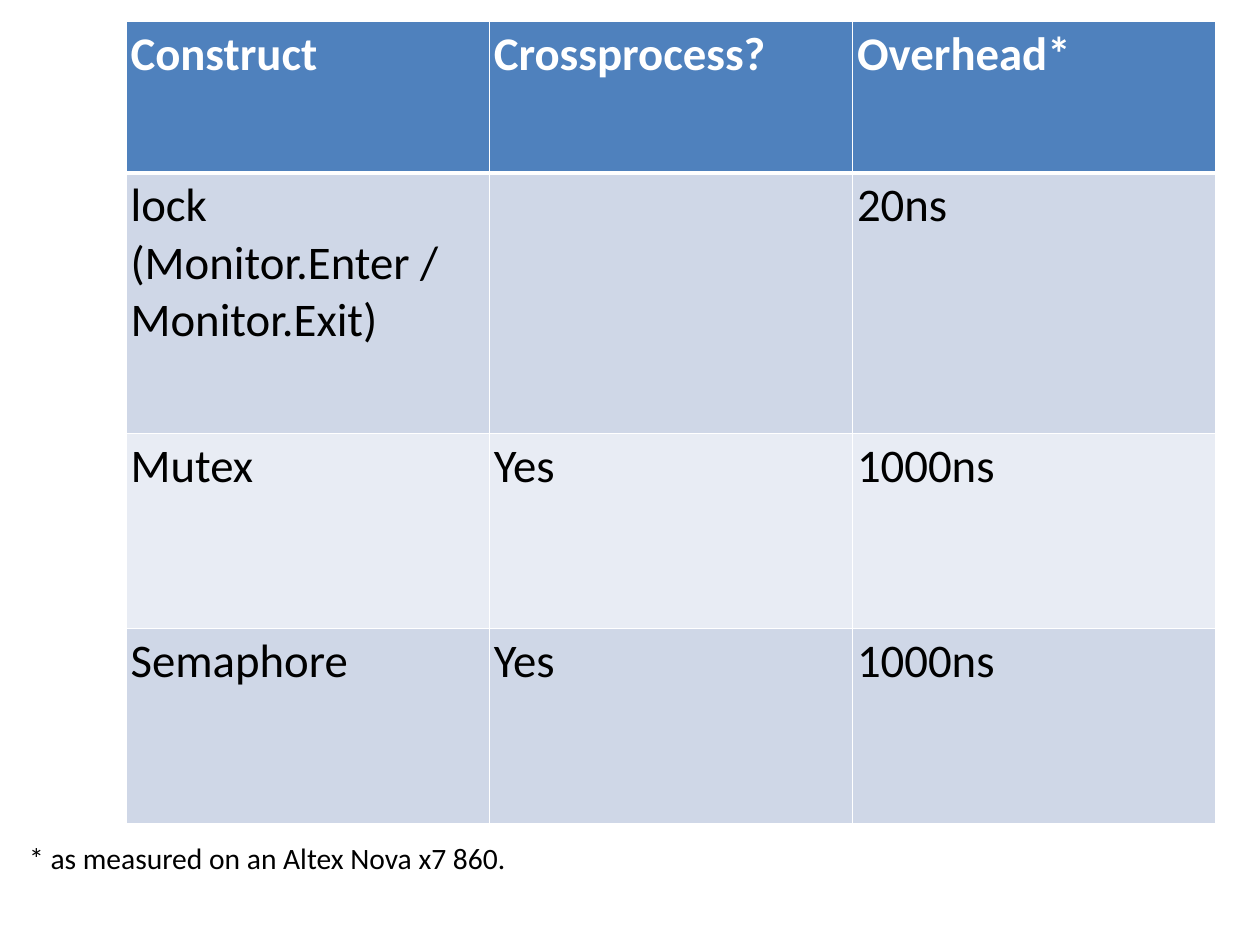
import pptx
import pptx.dml.color
import pptx.enum.text
import pptx.oxml
import pptx.oxml.ns
import pptx.util

Pt = pptx.util.Pt
RGB = pptx.dml.color.RGBColor.from_string

FONT = "Calibri"
COLORS = {
    "header": "4F81BD",
    "odd": "CFD7E7",
    "even": "E8ECF4",
    "border": "FFFFFF",
    "header_text": "FFFFFF",
    "text": "000000",
}
ROWS = [
    ("Construct", "Crossprocess?", "Overhead*"),
    ("lock (Monitor.Enter /\nMonitor.Exit)", "", "20ns"),
    ("Mutex", "Yes", "1000ns"),
    ("Semaphore", "Yes", "1000ns"),
]
ROW_HEIGHTS = (123.1, 211.7, 158.4, 158.4)
FOOTNOTE = "* as measured on an Altex Nova x7 860."


def set_margins(obj, margin):
    obj.margin_left = obj.margin_right = Pt(margin)
    obj.margin_top = obj.margin_bottom = Pt(margin)


def format_paragraphs(tf, size, color, bold=False):
    for p in tf.paragraphs:
        p.font.name = FONT
        p.font.size = Pt(size)
        p.font.bold = bold
        p.font.color.rgb = RGB(color)


def add_borders(cell, widths):
    """Draw cell borders; widths maps L, R, T, B (in that order) to points."""
    tcPr = cell._tc.get_or_add_tcPr()
    for side, width in widths.items():
        tcPr.append(pptx.oxml.parse_xml(
            f'<a:ln{side} {pptx.oxml.ns.nsdecls("a")} w="{Pt(width)}">'
            f'<a:solidFill><a:srgbClr val="{COLORS["border"]}"/></a:solidFill>'
            f'</a:ln{side}>'))


def add_construct_table(slide, left, top, width):
    n_cols = len(ROWS[0])
    frame = slide.shapes.add_table(len(ROWS), n_cols, Pt(left), Pt(top),
                                   Pt(width), Pt(sum(ROW_HEIGHTS)))
    table = frame.table
    for col in table.columns:
        col.width = Pt(width / n_cols)
    for i, (texts, height) in enumerate(zip(ROWS, ROW_HEIGHTS)):
        table.rows[i].height = Pt(height)
        is_header = i == 0
        fill = "header" if is_header else "odd" if i % 2 else "even"
        borders = {"L": 1, "R": 1, "T": 4 if i == 1 else 1, "B": 4 if is_header else 1}
        for cell, text in zip(table.rows[i].cells, texts):
            cell.text = text
            set_margins(cell, 3.6)
            add_borders(cell, borders)
            cell.fill.solid()
            cell.fill.fore_color.rgb = RGB(COLORS[fill])
            color = COLORS["header_text" if is_header else "text"]
            format_paragraphs(cell.text_frame, 38, color, is_header)


def add_footnote(slide, left, top, width, height):
    sp = slide.shapes.add_textbox(Pt(left), Pt(top), Pt(width), Pt(height))
    tf = sp.text_frame
    tf.word_wrap = True
    tf.auto_size = pptx.enum.text.MSO_AUTO_SIZE.SHAPE_TO_FIT_TEXT
    set_margins(tf, 5)
    tf.text = FOOTNOTE
    format_paragraphs(tf, 24, COLORS["text"])


def main():
    prs = pptx.Presentation()
    prs.slide_width, prs.slide_height = Pt(1024), Pt(768)
    slide = prs.slides.add_slide(prs.slide_layouts[6])
    add_construct_table(slide, 102.5, 17.5, 885.6)
    add_footnote(slide, 18.7, 677.5, 987, 38.2)
    prs.save("out.pptx")


if __name__ == "__main__":
    main()
